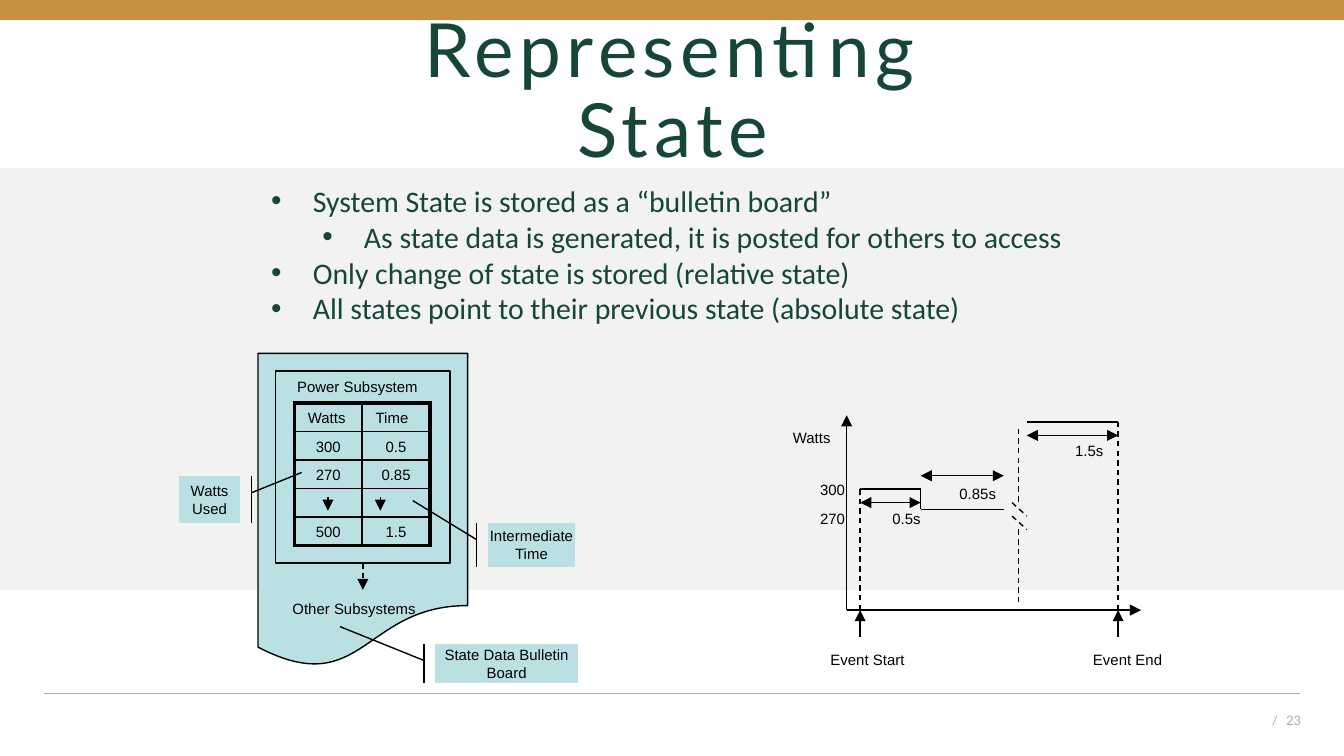
from lxml import etree
from pptx import Presentation
from pptx import util as u
from pptx.dml.color import RGBColor
from pptx.enum import dml, shapes, text
from pptx.oxml.ns import qn

BLACK = RGBColor(0x00, 0x00, 0x00)
GREEN = RGBColor(0x15, 0x47, 0x34)
GOLD = RGBColor(0xC6, 0x92, 0x41)
PALE = RGBColor(0xF2, 0xF3, 0xF1)
GREY = RGBColor(0xAF, 0xAB, 0xAB)
AQUA = RGBColor(0xBB, 0xE0, 0xE3)

SMALL = {"name": "Arial", "size": u.Pt(8)}
BODY = {"name": "Calibri", "size": u.Pt(16)}
TITLE = {"name": "Lato", "size": u.Pt(40)}
FOOTER = {"name": "Lato", "size": u.Pt(7)}
CENTER, LEFT, RIGHT = text.PP_ALIGN.CENTER, text.PP_ALIGN.LEFT, text.PP_ALIGN.RIGHT

presentation = Presentation()
presentation.slide_width, presentation.slide_height = u.Inches(10), u.Inches(5.625)
slide = presentation.slides.add_slide(presentation.slide_layouts[6])

# Grid of 100 columns by 56.25 rows
COLUMN = presentation.slide_width / 100
ROW = presentation.slide_height / 56.25


def write(paragraph, words, font, color=BLACK, align=CENTER):
    paragraph.alignment = align
    run = paragraph.add_run()
    run.text = words
    for name, value in font.items():
        setattr(run.font, name, value)
    run.font.color.rgb = color
    return run


def add_line(x1, y1, x2, y2, ends="", dashed=False, color=BLACK, width=0.75):
    connector = slide.shapes.add_connector(
        shapes.MSO_CONNECTOR.STRAIGHT,
        round(x1 * COLUMN), round(y1 * ROW), round(x2 * COLUMN), round(y2 * ROW))
    connector.line.color.rgb = color
    connector.line.width = u.Pt(width)
    if dashed:
        connector.line.dash_style = dml.MSO_LINE.DASH
    properties = connector.element.spPr
    for end in ends.split():
        etree.SubElement(properties.find(qn("a:ln")), qn(f"a:{end}End"), type="triangle")
    etree.SubElement(properties, qn("a:effectLst"))
    return connector


# Bands, bulletin board and callouts: kind, place, fill, line, words, adjustments
KIND = shapes.MSO_SHAPE
CALLOUT = KIND.LINE_CALLOUT_1_ACCENT_BAR
for kind, place, fill, line, words, adjustments in [
    (KIND.RECTANGLE, (0, 0, 100, 1.5), GOLD, None, "", ()),
    (KIND.RECTANGLE, (0, 12.5, 100, 31.4), PALE, None, "", ()),
    (KIND.FLOWCHART_DOCUMENT, (19.2, 26.3, 15.6, 23.4), AQUA, BLACK, "", ()),
    (CALLOUT, (13.3, 35.4, 4.6, 3.5), AQUA, BLACK, "Watts Used", (0.36, 1.18, -0.07, 1.99)),
    (CALLOUT, (32.4, 47.9, 10.6, 2.9), AQUA, BLACK, "State Data Bulletin Board",
     (0.43, -0.08, -0.44, -0.67)),
    (CALLOUT, (36.3, 38.9, 6.5, 3.3), AQUA, BLACK, "Intermediate Time",
     (0.38, -0.13, -0.5, -0.86)),
    (KIND.RECTANGLE, (20.5, 27.6, 13, 14.3), None, BLACK, "", ()),
]:
    x, y, width, height = place
    shape = slide.shapes.add_shape(
        kind, round(x * COLUMN), round(y * ROW), round(width * COLUMN), round(height * ROW))
    shape.shadow.inherit = False
    for part, color in ((shape.fill, fill), (shape.line.fill, line)):
        if color is None:
            part.background()
        else:
            part.solid()
            part.fore_color.rgb = color
    if line is not None:
        shape.line.width = u.Pt(0.75)
    for index, value in enumerate(adjustments):
        shape.adjustments[index] = value
    if words:
        frame = shape.text_frame
        for side in ("left", "top", "right", "bottom"):
            setattr(frame, f"margin_{side}", 0)
        frame.word_wrap = True
        frame.vertical_anchor = text.MSO_ANCHOR.MIDDLE
        write(frame.paragraphs[0], words, SMALL)
subsystem_frame = shape

# State table
TABLE_LEFT, TABLE_TOP, CELL_WIDTH, CELL_HEIGHT = 21.9, 30, 5.05, 2.12
records = [("Watts", "Time"), ("300", "0.5"), ("270", "0.85"), ("", ""), ("500", "1.5")]
table = slide.shapes.add_table(
    len(records), 2, round(TABLE_LEFT * COLUMN), round(TABLE_TOP * ROW),
    round(2 * CELL_WIDTH * COLUMN), round(len(records) * CELL_HEIGHT * ROW)).table
table.first_row = table.horz_banding = False
for r, record in enumerate(records):
    for c, words in enumerate(record):
        cell = table.cell(r, c)
        cell.margin_top, cell.margin_bottom = u.Inches(0.05), 0
        paragraph = cell.text_frame.paragraphs[0]
        if words:
            write(paragraph, words, SMALL, align=CENTER if r else LEFT)
        else:
            etree.SubElement(paragraph._p, qn("a:endParaRPr"), sz="800")
        outer = {"L": c == 0, "R": c == 1, "T": r == 0, "B": r == len(records) - 1}
        for side, thick in outer.items():
            border = etree.SubElement(
                cell._tc.get_or_add_tcPr(), qn(f"a:ln{side}"),
                w=str(u.Pt(2.25 if thick else 1)))
            solid = etree.SubElement(border, qn("a:solidFill"))
            etree.SubElement(solid, qn("a:srgbClr"), val=str(BLACK))
        cell.fill.background()

# Continuation arrows
for x in (24.4, 28.3):
    add_line(x, 37, x, 38, "tail", dashed=True)
next_arrow = add_line(27, 41.9, 27, 43.9, "tail", dashed=True)
next_arrow.begin_connect(subsystem_frame, 2)

# Timing diagram: axes, event arrows and power steps
START, STEP, PAUSE, RESUME, END = 64, 68.5, 74.7, 76.4, 83.2
BASE = 45.4
add_line(63, BASE, 63, 30.9, "tail")
add_line(63, BASE, 84.9, BASE, "tail")
for x, top in ((START, 36.4), (END, 31.4)):
    add_line(x, BASE, x, BASE + 2, "head")
    add_line(x, BASE, x, top, dashed=True)
for points in [(START, 36.4, STEP, 36.4), (STEP, 37.9, STEP, 36.4),
               (STEP, 37.9, PAUSE, 37.9), (RESUME, 31.4, END, 31.4)]:
    add_line(*points)

# Durations and axis break
for x1, x2, y in ((START, STEP, 37.4), (STEP, PAUSE, 35.4), (RESUME, END, 32.4)):
    add_line(x1, y, x2, y, "head tail")
for points in [(75.8, 39.4, 75.8, 44.9), (75.8, 31.9, 75.8, 37.4),
               (75.3, 37.4, RESUME, 38.4), (75.3, 38.4, RESUME, 39.4)]:
    add_line(*points, dashed=True)

# Footer rule
add_line(3.3, 51.6, 96.7, 51.6, color=GREY, width=0.5)

# Text boxes: place, paragraphs, font, colour, alignment
MIDDLE, TOP = text.MSO_ANCHOR.MIDDLE, text.MSO_ANCHOR.TOP
bullets = [
    (0, "System State is stored as a “bulletin board”"),
    (1, "As state data is generated, it is posted for others to access"),
    (0, "Only change of state is stored (relative state)"),
    (0, "All states point to their previous state (absolute state)"),
]
boxes = [
    ((23.8, 4.4, 52.5, 5.1), "Representing State", TITLE, GREEN, CENTER, MIDDLE),
    ((93.3, 52.1, 4.5, 3), "/", FOOTER, GREY, RIGHT, MIDDLE),
    ((19.2, 13.1, 61.6, 11.8), "", BODY, GREEN, LEFT, TOP),
] + [(place, words, SMALL, BLACK, CENTER, TOP) for place, words in [
    ((60, 47.9, 9.1, 3.4), "Event Start"),
    ((79.2, 47.9, 9.4, 3.4), "Event End"),
    ((64.5, 37.4, 5.9, 2.7), "0.5s"),
    ((69.9, 35.6, 5.7, 2.7), "0.85s"),
    ((78.7, 32.4, 4.7, 2.7), "1.5s"),
    ((60, 35.3, 3.9, 2.7), "300"),
    ((60, 37.4, 3.9, 2.7), "270"),
    ((57.7, 31.4, 5.4, 2.7), "Watts"),
    ((21, 27.6, 11.2, 3.1), "Power Subsystem"),
    ((20.6, 44.1, 11.5, 3.1), "Other Subsystems"),
]]
for (x, y, width, height), words, font, color, align, anchor in boxes:
    frame = slide.shapes.add_textbox(
        round(x * COLUMN), round(y * ROW), round(width * COLUMN), round(height * ROW)).text_frame
    frame.word_wrap = font is not BODY
    frame.vertical_anchor = anchor
    paragraph = frame.paragraphs[0]
    if font is BODY:
        frame.auto_size = text.MSO_AUTO_SIZE.SHAPE_TO_FIT_TEXT
        for index, (level, words) in enumerate(bullets):
            paragraph = frame.add_paragraph() if index else paragraph
            paragraph.level = level
            properties = paragraph._p.get_or_add_pPr()
            properties.set("marL", str(u.Inches(0.69 if level else 0.31)))
            properties.set("indent", str(u.Inches(-0.31)))
            etree.SubElement(properties, qn("a:buFont"), typeface="Arial")
            etree.SubElement(properties, qn("a:buChar"), char="•")
            write(paragraph, words, font, color, align)
        continue
    run = write(paragraph, words, font, color, align)
    if font is TITLE:
        paragraph.line_spacing = 0.9
        run._r.get_or_add_rPr().set("spc", "300")
    elif font is FOOTER:
        gap = write(paragraph, " ", font, color, align)
        gap._r.get_or_add_rPr().set("spc", "270")
        write(paragraph, "23", font, color, align)

presentation.save("out.pptx")
